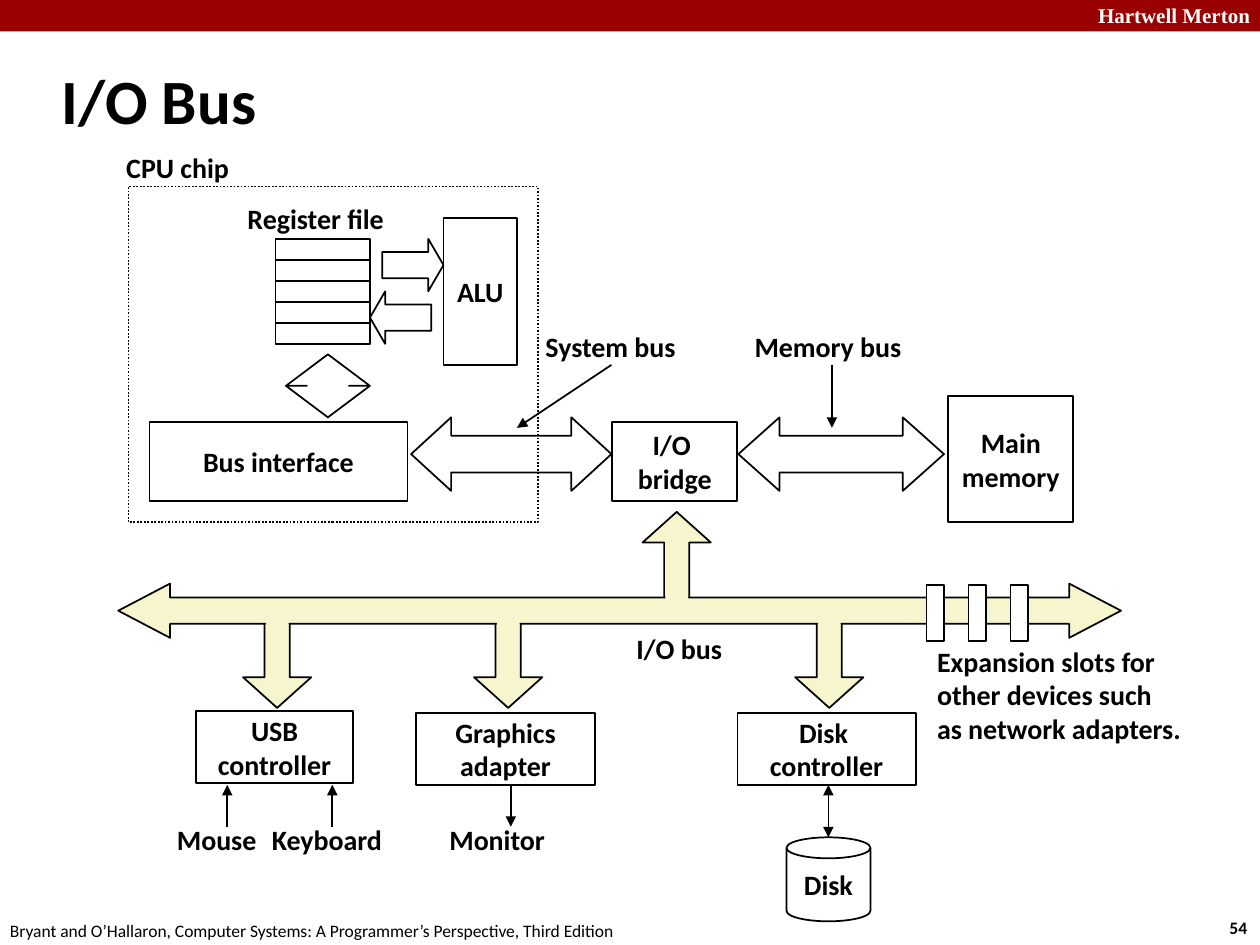
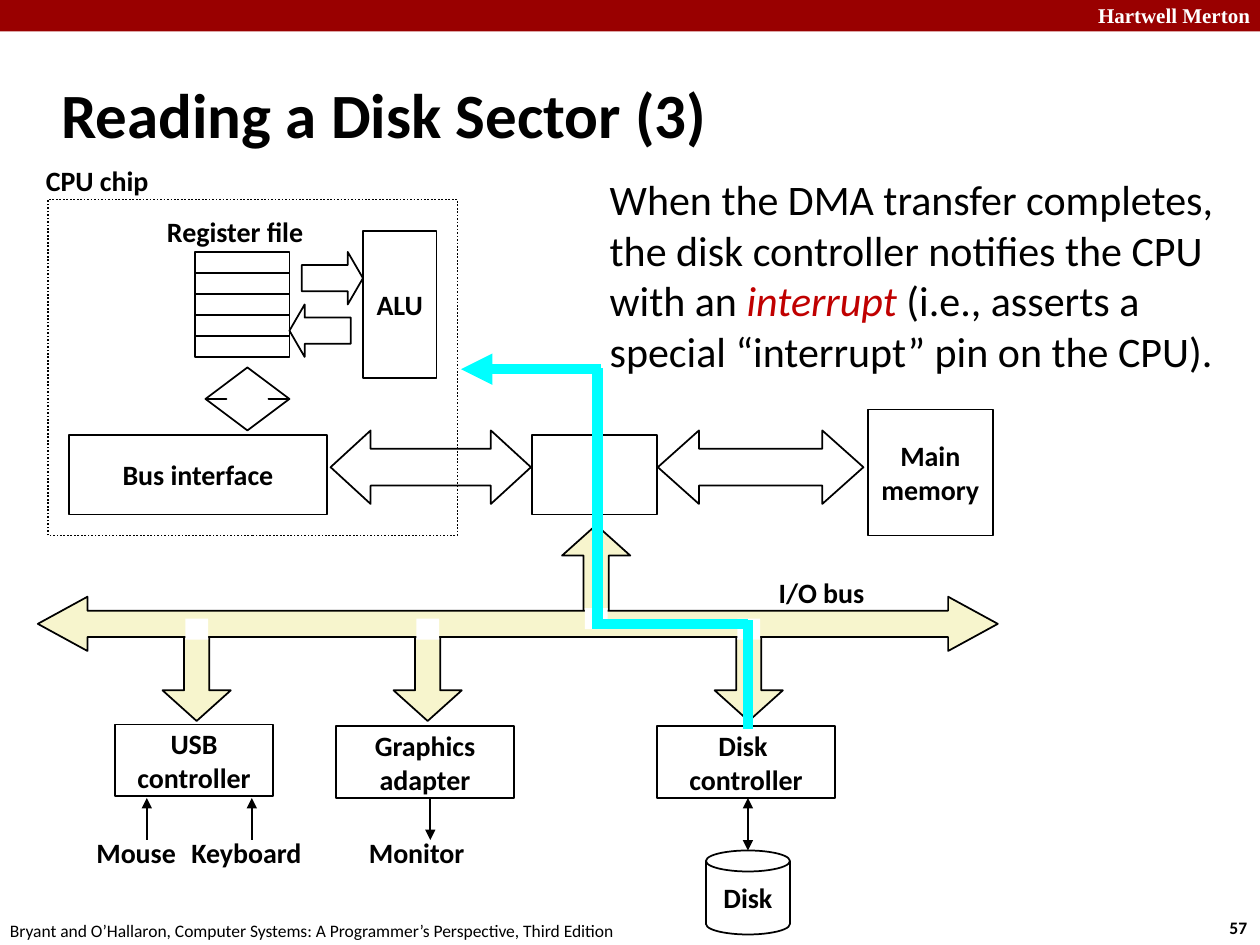
from lxml import etree
from pptx import Presentation
from pptx.dml.color import RGBColor
from pptx.enum.dml import MSO_LINE
from pptx.enum.shapes import MSO_CONNECTOR, MSO_SHAPE
from pptx.enum.text import MSO_ANCHOR, PP_ALIGN
from pptx.oxml.ns import qn
from pptx.util import Pt

COLORS = {
    "band": "990000",
    "ink": "000000",
    "paper": "FFFFFF",
    "io_bus": "F7F5CD",
    "signal": "00FFFF",
    "emphasis": "C00000",
}
FONT = "Calibri"
BAND_FONT = "Times New Roman"
LABEL_HEIGHT = 26.6
IO_ARROW_WIDTH = 39
JOINT_WIDTH = 13


def color(name):
    return RGBColor.from_string(COLORS[name])


def style_font(font, size=16, bold=True, ink="ink", name=FONT):
    font.name, font.size, font.bold = name, Pt(size), bold
    font.color.rgb = color(ink)


def write(shape, text, align=PP_ALIGN.CENTER, anchor=MSO_ANCHOR.MIDDLE, wrap=False, **font):
    frame = shape.text_frame
    frame.text = text
    frame.word_wrap = wrap
    frame.vertical_anchor = anchor
    for paragraph in frame.paragraphs:
        paragraph.alignment = align
        style_font(paragraph.font, **font)


class Region:
    """Draws on a slide with lengths in points, measured from the region's corner."""

    def __init__(self, slide, left=0, top=0):
        self.slide, self.left, self.top = slide, left, top

    def place(self, x, y):
        return Pt(self.left + x), Pt(self.top + y)

    def shape(self, kind, x, y, width, height, text="", fill=None, line="ink", adjust=()):
        shape = self.slide.shapes.add_shape(kind, *self.place(x, y), Pt(width), Pt(height))
        shape.shadow.inherit = False
        if fill:
            shape.fill.solid()
            shape.fill.fore_color.rgb = color(fill)
        else:
            shape.fill.background()
        if line:
            shape.line.color.rgb = color(line)
            shape.line.width = Pt(1)
        else:
            shape.line.fill.background()
        for index, value in enumerate(adjust):
            shape.adjustments[index] = value
        if text:
            write(shape, text)
        return shape

    def box(self, *place, **look):
        return self.shape(MSO_SHAPE.RECTANGLE, *place, **look)

    def label(self, text, x, y, width, height=LABEL_HEIGHT, **look):
        text_box = self.slide.shapes.add_textbox(*self.place(x, y), Pt(width), Pt(height))
        write(text_box, text, **look)
        return text_box

    def line(self, start, end, head=False, tail=False, ink="ink", width=1):
        connector = self.slide.shapes.add_connector(
            MSO_CONNECTOR.STRAIGHT, *self.place(*start), *self.place(*end))
        connector.line.color.rgb = color(ink)
        connector.line.width = Pt(width)
        outline = connector.line._get_or_add_ln()
        for tag, wanted in (("a:headEnd", head), ("a:tailEnd", tail)):
            if wanted:
                etree.SubElement(outline, qn(tag), type="triangle")
        etree.SubElement(connector._element.spPr, qn("a:effectLst"))


def draw_frame(slide, title, title_top, number):
    """Adds the band, title and footer."""
    page = Region(slide)
    page.box(0, 0, 720, 18, fill="band", line=None)
    top_left = {"align": PP_ALIGN.LEFT, "anchor": MSO_ANCHOR.TOP}
    page.label("Hartwell Merton", 572, -2.2, 149.5, 21.6, align=PP_ALIGN.RIGHT,
               anchor=MSO_ANCHOR.TOP, wrap=True, size=12, ink="paper", name=BAND_FONT)
    page.label(number, 695.5, 520.6, 26.6, 19.4, size=10, **top_left)
    page.label("Bryant and O’Hallaron, Computer Systems: A Programmer’s Perspective, Third Edition",
               -1.4, 522, 365.8, 19.4, size=10, bold=False, **top_left)
    page.label(title, 28, title_top, 597.6, 60, align=PP_ALIGN.LEFT, wrap=True, size=36)


def draw_cpu_chip(region):
    region.box(0, 0, 234, 192).line.dash_style = MSO_LINE.ROUND_DOT
    region.label("CPU chip", -8.9, -24.2, 74)
    region.label("Register file", 60.2, 4.8, 93.6)
    for row in range(5):
        region.box(84, 30 + 12 * row, 54, 12)
    region.shape(MSO_SHAPE.RIGHT_ARROW, 145, 30, 35, 30, adjust=(0.5, 0.29))
    region.shape(MSO_SHAPE.LEFT_ARROW, 138, 60, 35, 30, adjust=(0.5, 0.29))
    region.box(180, 18, 42, 84, text="ALU")
    # This preset takes the head length first, then the shaft width.
    region.shape(MSO_SHAPE.UP_DOWN_ARROW, 90, 96, 48, 36, adjust=(0.2, 0.5))
    region.box(12, 134.5, 147.5, 45.5, text="Bus interface")


def draw_memory_side(region, bridge_text):
    for x, width, head in ((161.5, 114.5, 0.545), (348.5, 117.5, 0.56)):
        region.shape(MSO_SHAPE.LEFT_RIGHT_ARROW, x, 132, width, 42, adjust=(0.5, head))
    region.box(276.5, 134.5, 71.5, 45.5, text=bridge_text)
    region.box(468.5, 120, 71.5, 72, text="Main\nmemory")


def draw_io_bus(region, width, head, joint_fill, label_place):
    """Draws the long arrow, its branches and the patches that join them."""
    device_centers = (85, 217, 400.5)
    bridge_center = 313.3
    branches = [(MSO_SHAPE.UP_ARROW, bridge_center, 186)]
    branches += [(MSO_SHAPE.DOWN_ARROW, center, 244) for center in device_centers]
    for kind, center, y in branches:
        region.shape(kind, center - IO_ARROW_WIDTH / 2, y, IO_ARROW_WIDTH, 54,
                     fill="io_bus", adjust=(0.367, 0.449))
    region.shape(MSO_SHAPE.LEFT_RIGHT_ARROW, -5.8, 227, width, 31,
                 fill="io_bus", adjust=(0.486, head))
    joints = [(bridge_center, 233.5)] + [(center, 239.5) for center in device_centers]
    for center, y in joints:
        region.box(center - JOINT_WIDTH / 2, y, JOINT_WIDTH, 12, fill=joint_fill, line=None)
    region.label("I/O bus", *label_place, 64)


def draw_devices(region):
    region.box(38.5, 300, 90, 41, text="USB\ncontroller")
    region.box(164.5, 301, 102, 41, text="Graphics\nadapter")
    region.box(348, 301, 102, 41, text="Disk \ncontroller")
    for x in (56.5, 116.5):
        region.line((x, 342), (x, 366), head=True)
    region.line((218.5, 342), (218.5, 366), tail=True)
    region.line((400, 342), (400, 372), head=True, tail=True)
    for text, x, width in (("Mouse", 20.2, 60.5), ("Keyboard", 74.2, 78.5), ("Monitor", 175.7, 70)):
        region.label(text, x, 360, width)
    region.shape(MSO_SHAPE.CAN, 376, 372, 48, 48, text="Disk", adjust=(0.25,))


def draw_computer(region, bridge_text="", **bus):
    draw_memory_side(region, bridge_text)
    draw_cpu_chip(region)
    draw_devices(region)
    draw_io_bus(region, **bus)


def draw_bus_names(region):
    region.label("System bus", 230.5, 78, 90)
    region.line((276, 102), (222, 138), tail=True)
    region.label("Memory bus", 350.2, 78, 99)
    region.line((402, 102), (402, 138), tail=True)


def draw_expansion_slots(region):
    for slot in range(3):
        region.box(456 + 24 * slot, 228, 10, 32, fill="paper")
    region.label("Expansion slots for\nother devices such\nas network adapters.",
                 455, 258, 155.5, 66, align=PP_ALIGN.LEFT, anchor=MSO_ANCHOR.TOP)


def draw_interrupt_path(region):
    region.line((316, 97), (236, 97), tail=True, ink="signal", width=6)
    for start, end in (((314, 96.5), (314, 240.5)), ((311, 242.5), (400, 242.5)),
                       ((400, 240.5), (400, 302.5))):
        region.line(start, end, ink="signal", width=6)


def draw_interrupt_note(slide):
    note = Region(slide).label("", 341.3, 95.8, 373, 124, align=PP_ALIGN.LEFT,
                               anchor=MSO_ANCHOR.TOP, wrap=True, size=24, bold=False)
    paragraph = note.text_frame.paragraphs[0]
    for text in ("When the DMA transfer completes, the disk controller notifies the CPU with an ",
                 "interrupt",
                 " (i.e., asserts a special “interrupt” pin on the CPU)."):
        run = paragraph.add_run()
        run.text = text
        if text == "interrupt":
            run.font.italic = True
            run.font.color.rgb = color("emphasis")


def build_io_bus_slide(slide):
    draw_frame(slide, "I/O Bus", 26.6, "54")
    computer = Region(slide, 73.4, 106.5)
    draw_computer(computer, "I/O \nbridge", width=573, head=0.955,
                  joint_fill="io_bus", label_place=(282.7, 250.5))
    draw_bus_names(computer)
    draw_expansion_slots(computer)


def build_interrupt_slide(slide):
    draw_frame(slide, "Reading a Disk Sector (3)", 34.6, "57")
    computer = Region(slide, 27.4, 114)
    draw_computer(computer, width=548.6, head=0.915,
                  joint_fill="paper", label_place=(410, 211))
    draw_interrupt_path(computer)
    draw_interrupt_note(slide)


def main():
    presentation = Presentation()
    presentation.slide_width, presentation.slide_height = Pt(720), Pt(540)
    for build in (build_io_bus_slide, build_interrupt_slide):
        build(presentation.slides.add_slide(presentation.slide_layouts[6]))
    presentation.save("out.pptx")


if __name__ == "__main__":
    main()
